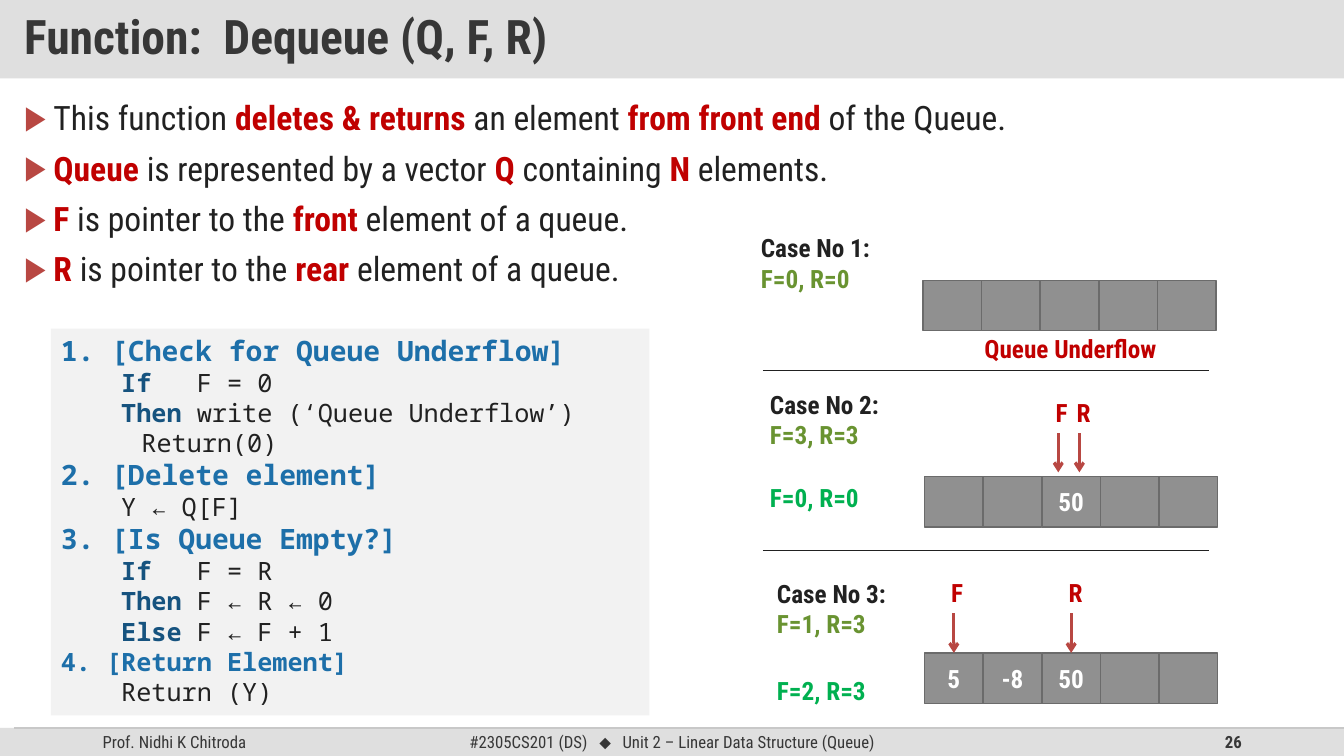
from dataclasses import dataclass
from typing import Optional

from lxml.etree import SubElement
from pptx import Presentation
from pptx.dml.color import RGBColor
from pptx.enum.shapes import MSO_CONNECTOR as Link, MSO_SHAPE as Form
from pptx.enum.text import MSO_ANCHOR as Anchor, MSO_AUTO_SIZE as Fit, PP_ALIGN as Align
from pptx.oxml.ns import qn
from pptx.shapes.autoshape import Shape
from pptx.shapes.connector import Connector
from pptx.text.text import TextFrame
from pptx.util import Pt

WHITE = RGBColor(0xFF, 0xFF, 0xFF)
BAND = RGBColor(0xDF, 0xDF, 0xDF)
EDGE = RGBColor(0xC8, 0xC8, 0xC8)
PANEL = RGBColor(0xF2, 0xF2, 0xF2)
GREY = RGBColor(0x90, 0x90, 0x90)
RIM = RGBColor(0x6B, 0x6B, 0x6B)
DARK = RGBColor(0x37, 0x37, 0x37)
INK = RGBColor(0x21, 0x21, 0x21)
RED = RGBColor(0xC0, 0x00, 0x00)
BRICK = RGBColor(0xB8, 0x47, 0x42)
BLUE = RGBColor(0x1D, 0x6F, 0xA9)
NAVY = RGBColor(0x16, 0x53, 0x7F)
OLIVE = RGBColor(0x69, 0x93, 0x31)
GREEN = RGBColor(0x00, 0xB0, 0x50)

SANS = "Roboto Condensed"
MONO = "Noto Sans Mono"
CELL = 41.9
TALL = 36


@dataclass
class Bit:
    text: str
    tint: RGBColor = INK
    bold: bool = False
    size: Optional[float] = None
    face: Optional[str] = None


@dataclass
class Mark:
    name: str
    mid: float
    cell: Optional[int] = None


@dataclass
class Case:
    head: str
    state: str
    left: float
    top: float
    row: tuple[float, float]
    items: tuple[str, ...] = ("",) * 5
    after: str = ""
    below: float = 0
    marks: tuple[Mark, ...] = ()
    high: float = 0


def red(text: str) -> Bit:
    return Bit(text, RED, True)


def step(text: str, size: float = 20) -> list[Bit]:
    return [Bit(text, BLUE, True, size)]


def key(text: str) -> Bit:
    return Bit(text, NAVY, True)


def write(frame: TextFrame, lines: list[list[Bit]], *, size: float = 18, face: str = SANS,
          align: Align = Align.LEFT, anchor: Anchor = Anchor.TOP,
          pitch: Optional[float] = None, gap: float = 0, bullet: bool = False) -> None:
    frame.word_wrap = True
    frame.auto_size = Fit.NONE
    frame.vertical_anchor = anchor
    for n, line in enumerate(lines):
        para = frame.add_paragraph() if n else frame.paragraphs[0]
        if bullet:
            props = para._p.get_or_add_pPr()
            props.set("marL", str(Pt(20.9)))
            props.set("indent", str(-Pt(20.9)))
            tint = SubElement(props, qn("a:buClr"))
            SubElement(tint, qn("a:srgbClr"), val=str(BRICK))
            SubElement(props, qn("a:buFont"), typeface="Arial")
            SubElement(props, qn("a:buChar"), char="▶")
        para.alignment = align
        para.space_before = Pt(gap if n else 0)
        if pitch:
            para.line_spacing = pitch
        for bit in line:
            run = para.add_run()
            run.text = bit.text
            run.font.name = bit.face or face
            run.font.size = Pt(bit.size or size)
            run.font.bold = bit.bold
            run.font.color.rgb = bit.tint


def place(shape: Shape, left: float, top: float, width: float, height: float) -> None:
    shape.left, shape.top = Pt(left), Pt(top)
    shape.width, shape.height = Pt(width), Pt(height)


def block(left: float, top: float, width: float, height: float,
          fill: RGBColor, rim: Optional[RGBColor] = None) -> Shape:
    shape = slide.shapes.add_shape(Form.RECTANGLE, Pt(left), Pt(top), Pt(width), Pt(height))
    shape.shadow.inherit = False
    shape.fill.solid()
    shape.fill.fore_color.rgb = fill
    if rim is None:
        shape.line.fill.background()
    else:
        shape.line.color.rgb = rim
        shape.line.width = Pt(1)
    return shape


def label(left: float, top: float, width: float, height: float,
          lines: list[list[Bit]], **form) -> Shape:
    box = slide.shapes.add_textbox(Pt(left), Pt(top), Pt(width), Pt(height))
    write(box.text_frame, lines, **form)
    return box


def rule(x1: float, y1: float, x2: float, y2: float, tint: RGBColor, width: float) -> Connector:
    line = slide.shapes.add_connector(Link.STRAIGHT, Pt(x1), Pt(y1), Pt(x2), Pt(y2))
    line.line.color.rgb = tint
    line.line.width = Pt(width)
    SubElement(line._element.spPr, qn("a:effectLst"))
    return line


def draw(case: Case) -> None:
    left, top = case.row
    cells = []
    for n, item in enumerate(case.items):
        cell = block(left + n * CELL, top, CELL, TALL, GREY, RIM)
        if item:
            write(cell.text_frame, [[Bit(item, WHITE, True)]],
                  align=Align.CENTER, anchor=Anchor.MIDDLE)
        cells.append(cell)
    label(case.left, case.top, 104.4, 51.1,
          [[Bit(case.head, INK, True)], [Bit(case.state, OLIVE, True)]])
    if case.after:
        label(case.left, case.below, 90, 29, [[Bit(case.after, GREEN, True)]])
    for mark in case.marks:
        mid = left + mark.mid * CELL
        tag = label(mid - 9, case.high, 18, 29, [[red(mark.name)]], align=Align.CENTER)
        arrow = rule(mid, case.high + 29, mid, top - 3, BRICK, 2.25)
        arrow.begin_connect(tag, 2)
        if mark.cell is not None:
            arrow.end_connect(cells[mark.cell], 0)
        SubElement(arrow.line._get_or_add_ln(), qn("a:tailEnd"), type="arrow")


CODE = [
    step("1. [Check for Queue Underflow]"),
    [key("    If "), Bit("  F = 0")],
    [key("    Then "), Bit("write (‘Queue Underflow’)")],
    [Bit("\t  Return(0)")],
    step("2. [Delete element]"),
    [Bit("    Y ← Q[F]")],
    step("3. [Is Queue Empty?]"),
    [key("    If"), Bit("   F = R")],
    [key("    Then "), Bit("F ← R ← 0")],
    [key("    Else "), Bit("F ← F + 1")],
    step("4. [Return Element]", 18),
    [Bit("    Return (Y)")],
]
POINTS = [
    [Bit("This function "), red("deletes & returns "), Bit("an element "),
     red("from front end "), Bit("of the Queue.")],
    [red("Queue "), Bit("is represented by a vector "), red("Q"),
     Bit(" containing "), red("N"), Bit(" elements.")],
    [red("F"), Bit(" is pointer to the "), red("front "), Bit("element of a queue.")],
    [red("R"), Bit(" is pointer to the "), red("rear "), Bit("element of a queue.")],
]
CASES = [
    Case("Case No 1:", "F=0, R=0", 536.4, 162.7, (659.2, 200.2)),
    Case("Case No 2:", "F=3, R=3", 542.9, 274.3, (660.4, 340.4), ("", "", "50", "", ""),
         "F=0, R=0", 340.6, (Mark("F", 2.28), Mark("R", 2.64)), 280.3),
    Case("Case No 3:", "F=1, R=3", 547.9, 409.7, (660.4, 466.4), ("5", "-8", "50", "", ""),
         "F=2, R=3", 478.8, (Mark("F", 0.5, 0), Mark("R", 2.5, 2)), 408.9),
]

deck = Presentation()
deck.slide_width, deck.slide_height = Pt(960), Pt(540)
slide = deck.slides.add_slide(deck.slide_layouts[1])

title = slide.shapes.title
place(title, 0, 0, 960, 56)
title.fill.solid()
title.fill.fore_color.rgb = BAND
frame = title.text_frame
frame.margin_left = frame.margin_right = Pt(17.3)
frame.margin_top = frame.margin_bottom = Pt(8.6)
write(frame, [[Bit("Function:  Dequeue (Q, F, R)", DARK, True)]],
      size=34, anchor=Anchor.MIDDLE, pitch=0.9)

body = slide.placeholders[1]
place(body, 10.1, 69.1, 939.6, 440)
write(body.text_frame, POINTS, size=24, align=Align.JUSTIFY, pitch=0.9, gap=10, bullet=True)

panel = block(36.3, 234.7, 427.5, 276.3, PANEL)
write(panel.text_frame, CODE, face=MONO)

for case in CASES:
    draw(case)
label(660.2, 234.7, 208.8, 29, [[red("Queue Underflow")]], align=Align.CENTER)
for y in (264.8, 393.1):
    rule(545, y, 863.5, y, INK, 0.5)

block(0, 520, 960, 20, BAND)
rule(10, 520, 960, 520, EDGE, 1)
FOOT = [
    (66.2, 216, Align.LEFT, [Bit("Prof. Nidhi K Chitroda", DARK)]),
    (318.2, 324, Align.CENTER, [Bit("#2305CS201 (DS)   ", DARK), Bit("⬥", DARK, face="Arial"),
                                Bit("   Unit 2 – Linear Data Structure (Queue)", DARK)]),
    (678.2, 216, Align.RIGHT, [Bit("26", DARK, True)]),
]
for left, width, align, line in FOOT:
    label(left, 520, width, 20, [line], size=12, align=align, anchor=Anchor.MIDDLE)

deck.save("out.pptx")
